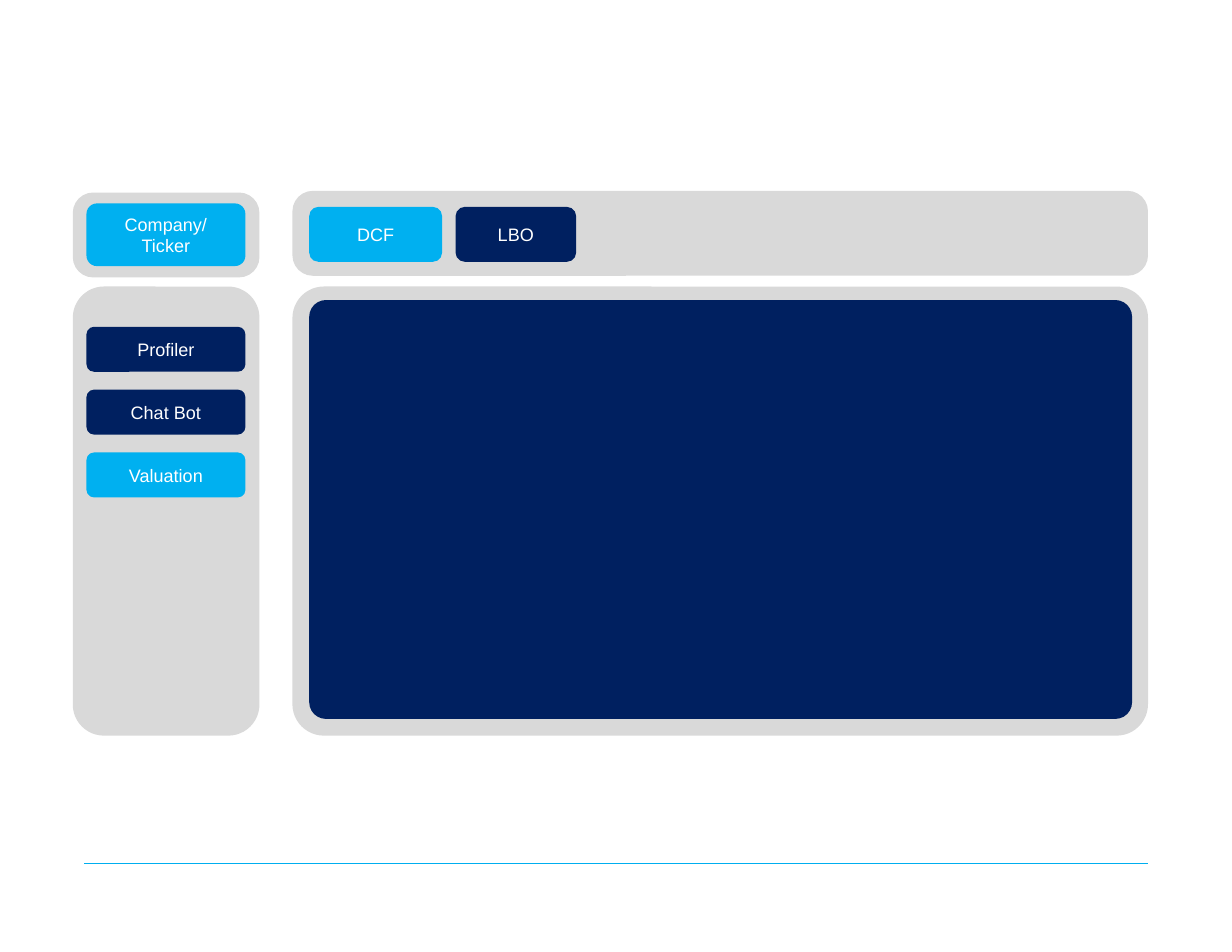
from lxml.etree import SubElement
from pptx import Presentation
from pptx.dml.color import RGBColor
from pptx.enum.shapes import MSO_CONNECTOR as CONN, MSO_SHAPE as SHAPE
from pptx.enum.text import MSO_ANCHOR as ANCHOR, PP_ALIGN as ALIGN
from pptx.oxml.ns import qn
from pptx.util import Pt

GREY, NAVY, BLUE, WHITE, RULE = "D9D9D9", "002060", "00B0F0", "FFFFFF", "00AEEF"


def color(fmt, value):
    fmt.rgb = RGBColor.from_string(value)


def add_panel(s, x, y, w, h, fill, adj=0.1667):
    sp = s.shapes.add_shape(SHAPE.ROUNDED_RECTANGLE, Pt(x), Pt(y), Pt(w), Pt(h))
    sp.adjustments[0] = adj
    sp.shadow.inherit = False
    sp.fill.solid()
    color(sp.fill.fore_color, fill)
    sp.line.fill.background()
    return sp


def add_button(s, x, y, w, h, fill, *lines):
    tf = add_panel(s, x, y, w, h, fill).text_frame
    tf.word_wrap = True
    tf.vertical_anchor = ANCHOR.MIDDLE
    for i, text in enumerate(lines):
        p = tf.add_paragraph() if i else tf.paragraphs[0]
        p.alignment = ALIGN.CENTER
        r = p.add_run()
        r.text = text
        r.font.name = "Arial"
        r.font.size = Pt(11.6)
        color(r.font.color, WHITE)


def add_rule(s, x1, x2, y):
    ln = s.shapes.add_connector(CONN.STRAIGHT, Pt(x1), Pt(y), Pt(x2), Pt(y))
    ln.line.width = Pt(1)
    color(ln.line.color, RULE)
    SubElement(ln._element.spPr, qn("a:effectLst"))


def main():
    prs = Presentation()
    prs.slide_width, prs.slide_height = Pt(792), Pt(612)
    s = prs.slides.add_slide(prs.slide_layouts[6])

    add_rule(s, 54, 738, 555)

    side_x, side_w = 46.8, 120
    main_x, main_w = 188, 550
    body_y, body_h, bar_h = 184.2, 288.7, 54.6
    add_panel(s, side_x, body_y, side_w, body_h, GREY)
    add_panel(s, main_x, body_y, main_w, body_h, GREY, 0.07)
    add_panel(s, side_x, 123.8, side_w, bar_h, GREY, 0.24)
    add_panel(s, main_x, 122.7, main_w, bar_h, GREY, 0.24)
    add_panel(s, 198.8, 192.9, 529, 269.3, NAVY, 0.04)

    menu_x, menu_w = 55.6, 102.2
    menu = [("Profiler", NAVY), ("Chat Bot", NAVY), ("Valuation", BLUE)]
    for i, (label, fill) in enumerate(menu):
        add_button(s, menu_x, 210.1 + i * 40.4, menu_w, 28.9, fill, label)
    add_button(s, menu_x, 130.8, menu_w, 40.3, BLUE, "Company/", "Ticker")

    for label, x, w, fill in [("DCF", 198.8, 85.4, BLUE), ("LBO", 292.9, 77.5, NAVY)]:
        add_button(s, x, 133, w, 35.3, fill, label)

    prs.save("out.pptx")


if __name__ == "__main__":
    main()
